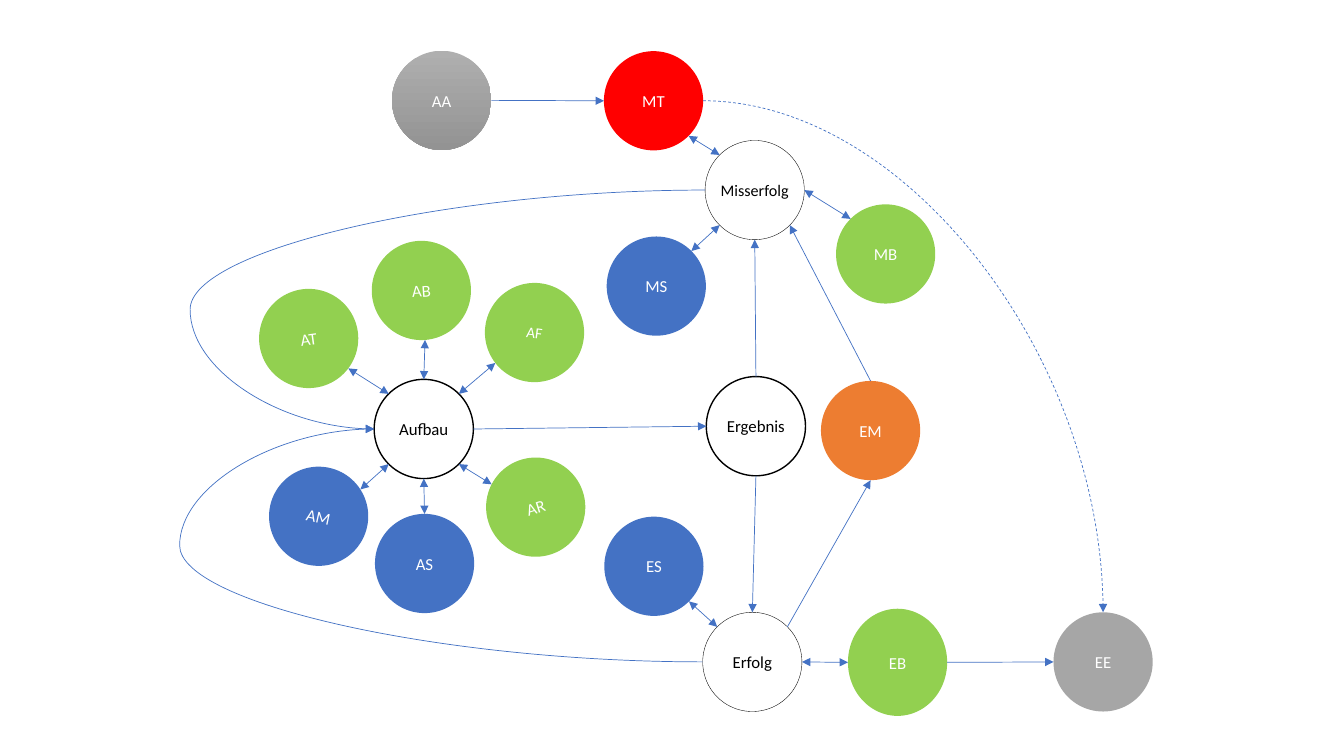
from math import cos, radians, sin

from lxml.etree import SubElement
from pptx import Presentation
from pptx.dml.color import RGBColor
from pptx.enum.dml import MSO_LINE
from pptx.enum.shapes import MSO_CONNECTOR as Connector, MSO_SHAPE as Shape
from pptx.enum.text import MSO_ANCHOR as Anchor, PP_ALIGN as Align
from pptx.oxml.ns import qn
from pptx.util import Cm, Pt

COLORS = {
    "white": "FFFFFF", "black": "000000", "red": "FF0000", "green": "92D050",
    "blue": "4472C4", "orange": "ED7D31", "gray": "A6A6A6",
}
GRAY_STOPS = ("AFAFAF", "939393")
SITES = {
    "right": 0, "bottom right": 45, "bottom": 90, "bottom left": 135,
    "left": 180, "top left": 225, "top": 270, "top right": 315,
}
STATES = [
    ("AA", 11.13, 2.53, "gradient", {}),
    ("MT", 16.47, 2.54, "red", {}),
    ("Misserfolg", 19.02, 4.79, "white", {"outline": 0.25, "size": 11.5}),
    ("MB", 22.32, 6.4, "green", {}),
    ("MS", 16.54, 7.21, "blue", {}),
    ("AT", 7.78, 8.53, "green", {"rotation": 352}),
    ("AB", 10.62, 7.32, "green", {"rotation": 355.8}),
    ("AF", 13.47, 8.38, "green", {"rotation": 7.2, "size": 11}),
    ("Aufbau", 10.68, 10.81, "white", {"outline": 1}),
    ("AM", 8.03, 13.01, "blue", {"rotation": 12.3}),
    ("AS", 10.7, 14.2, "blue", {}),
    ("AR", 13.5, 12.78, "green", {"rotation": 342.4}),
    ("Ergebnis", 19.05, 10.74, "white", {"outline": 1}),
    ("EM", 21.94, 10.85, "orange", {}),
    ("ES", 16.48, 14.27, "blue", {}),
    ("Erfolg", 18.96, 16.68, "white", {"outline": 0.25}),
    ("EB", 22.62, 16.69, "green", {"height": 2.7}),
    ("EE", 27.8, 16.68, "gray", {}),
]
TWO_WAY = [
    ("MT", "bottom right", "Misserfolg", "top left"),
    ("MB", "top left", "Misserfolg", "right"),
    ("MS", "top right", "Misserfolg", "bottom left"),
    ("AT", "bottom right", "Aufbau", "top left"),
    ("AB", "bottom", "Aufbau", "top"),
    ("AF", "bottom left", "Aufbau", "top right"),
    ("AM", "top right", "Aufbau", "bottom left"),
    ("AS", "top", "Aufbau", "bottom"),
    ("AR", "top left", "Aufbau", "bottom right"),
    ("ES", "bottom right", "Erfolg", "top left"),
    ("EB", "left", "Erfolg", "right"),
]
ONE_WAY = [
    ("AA", "right", "MT", "left"),
    ("Aufbau", "right", "Ergebnis", "left"),
    ("Ergebnis", "top", "Misserfolg", "bottom"),
    ("Ergebnis", "bottom", "Erfolg", "top"),
    ("Erfolg", "top right", "EM", "bottom"),
    ("EM", "top", "Misserfolg", "bottom right"),
    ("EB", "right", "EE", "left"),
]


class StateDiagram:
    """Draws states and transitions on one slide in a shared style."""

    font_name = "Calibri"
    diameter = 2.5
    line_width = Pt(0.5)

    def __init__(self, slide):
        """Keep the slide and start without states."""
        self.slide = slide
        self.states = {}

    def color(self, name):
        """Return the named colour."""
        return RGBColor.from_string(COLORS[name])

    def state(self, name, x, y, fill, outline=0, size=12, rotation=0, height=diameter):
        """Add a labelled circle centred on x, y."""
        shape = self.slide.shapes.add_shape(
            Shape.FLOWCHART_CONNECTOR, Cm(x - self.diameter / 2), Cm(y - height / 2),
            Cm(self.diameter), Cm(height))
        shape.shadow.inherit = False
        shape.rotation = rotation
        if fill == "gradient":
            shape.fill.gradient()
            shape.fill.gradient_angle = 270
            for stop, value in zip(shape.fill.gradient_stops, GRAY_STOPS):
                stop.color.rgb = RGBColor.from_string(value)
        else:
            shape.fill.solid()
            shape.fill.fore_color.rgb = self.color(fill)
        if outline:
            shape.line.color.rgb = self.color("black")
            shape.line.width = Pt(outline)
        else:
            shape.line.fill.background()
        self.label(shape.text_frame, name, size, "black" if outline else "white")
        self.states[name] = (x, y, height, rotation)

    def label(self, frame, text, size, color):
        """Write one centred line of text without margins."""
        frame.margin_left = frame.margin_right = frame.margin_top = frame.margin_bottom = 0
        frame.vertical_anchor = Anchor.MIDDLE
        frame.word_wrap = True
        paragraph = frame.paragraphs[0]
        paragraph.text = text
        paragraph.alignment = Align.CENTER
        paragraph.font.name = self.font_name
        paragraph.font.size = Pt(size)
        paragraph.font.color.rgb = self.color(color)

    def site(self, name, side):
        """Return the point on the rim of a state, turned with the state."""
        x, y, height, rotation = self.states[name]
        angle = radians(SITES[side] + rotation)
        return Cm(x + self.diameter / 2 * cos(angle)), Cm(y + height / 2 * sin(angle))

    def link(self, start, start_side, end, end_side, kind=Connector.STRAIGHT, two_way=False):
        """Add an arrow between two states."""
        connector = self.slide.shapes.add_connector(
            kind, *self.site(start, start_side), *self.site(end, end_side))
        connector.line.color.rgb = self.color("blue")
        connector.line.width = self.line_width
        properties = connector._element.spPr
        SubElement(properties, qn("a:effectLst"))
        line = properties.find(qn("a:ln"))
        for tag in ("a:headEnd", "a:tailEnd") if two_way else ("a:tailEnd",):
            SubElement(line, qn(tag), type="triangle")
        return connector

    def return_curve(self, start, end, bend):
        """Add a curve that swings out to the left of both states."""
        connector = self.link(start, "left", end, "left", Connector.CURVE)
        guides = connector._element.spPr.find(qn("a:prstGeom")).get_or_add_avLst()
        SubElement(guides, qn("a:gd"), name="adj1", fmla=f"val {bend}")

    def dashed_arc(self, start, end):
        """Add a dashed quarter curve from the right side to the top."""
        connector = self.link(start, "right", end, "top", Connector.CURVE)
        connector._element.spPr.find(qn("a:prstGeom")).set("prst", "curvedConnector2")
        connector.line.dash_style = MSO_LINE.DASH


def main():
    """Build the state diagram and save it."""
    presentation = Presentation()
    presentation.slide_width, presentation.slide_height = Cm(33.87), Cm(19.05)
    diagram = StateDiagram(presentation.slides.add_slide(presentation.slide_layouts[6]))
    for name, x, y, fill, options in STATES:
        diagram.state(name, x, y, fill, **options)
    for ends in TWO_WAY:
        diagram.link(*ends, two_way=True)
    for ends in ONE_WAY:
        diagram.link(*ends)
    diagram.return_curve("Misserfolg", "Aufbau", 155600)
    diagram.return_curve("Erfolg", "Aufbau", 159200)
    diagram.dashed_arc("MT", "EE")
    presentation.save("out.pptx")


if __name__ == "__main__":
    main()
